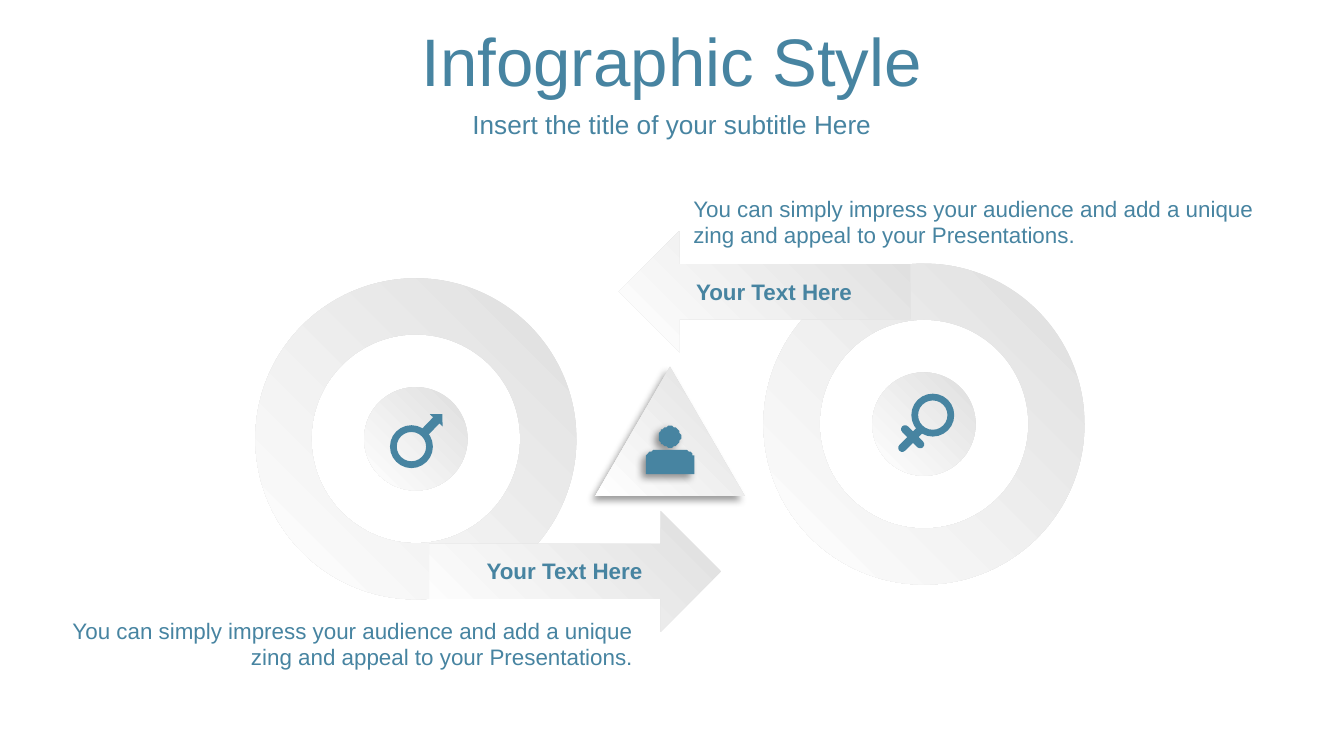
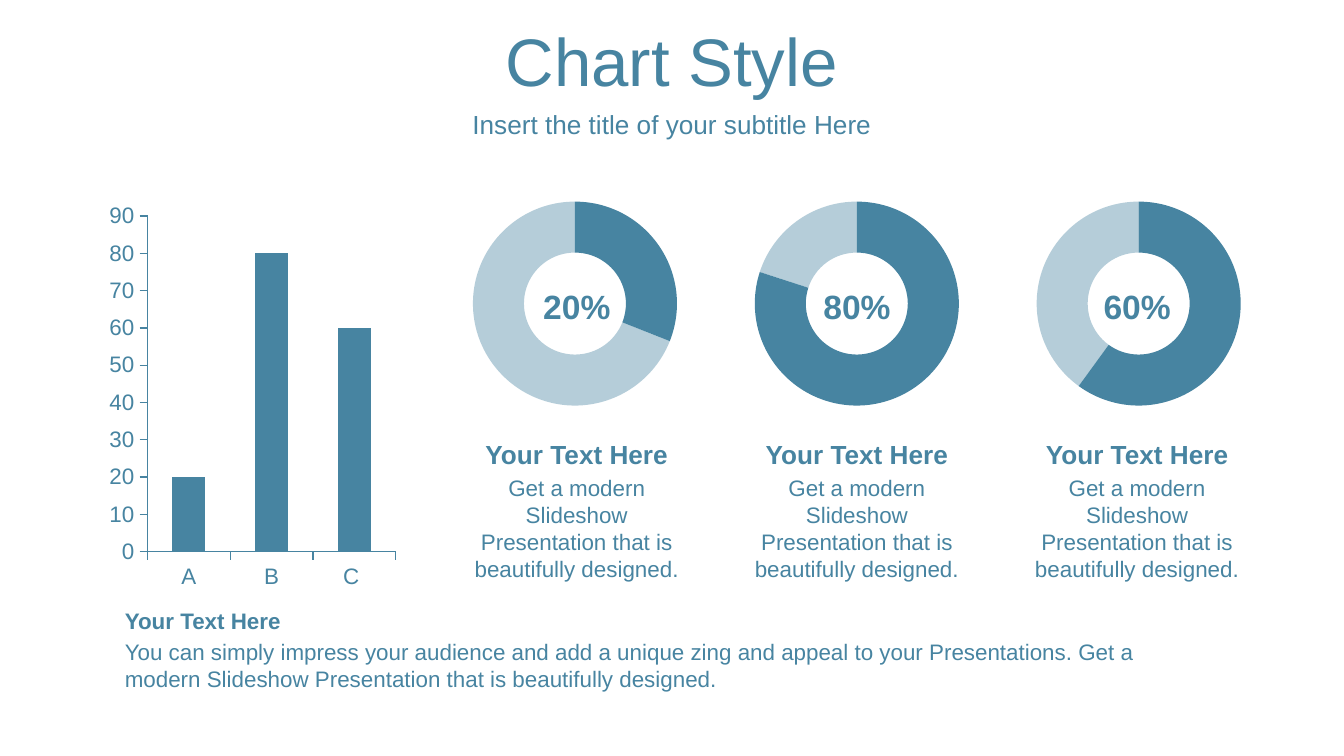
"""Build an infographic slide and a chart slide that share one title style."""
import math

from lxml import etree
from pptx import Presentation
from pptx import util as u
from pptx.chart.data import CategoryChartData
from pptx.dml.color import RGBColor
from pptx.enum import chart as charts, shapes, text
from pptx.oxml import parse_xml
from pptx.oxml.ns import nsdecls, qn

FONT = "Arial"
BLUE = "4784A1"
SILVER = ("DEDEDE", "FFFFFF")
KIND = shapes.MSO_SHAPE
LEFT, CENTER, RIGHT = text.PP_ALIGN.LEFT, text.PP_ALIGN.CENTER, text.PP_ALIGN.RIGHT

TITLES = ("Infographic Style", "Chart Style")
SUBTITLE = "Insert the title of your subtitle Here"
HEADING = "Your Text Here"
IMPRESS = "You can simply impress your audience and add a unique zing and appeal to your Presentations."
MODERN = "Get a modern Slideshow Presentation that is beautifully designed."

MALE = [
    (KIND.DONUT, -2.4, 4.2, 23, 23, 0, 0.158),
    (KIND.UP_ARROW, 8.7, -7.6, 9.4, 15.8, 43.9, None),
]
FEMALE = [
    (KIND.DONUT, 4.7, -4.8, 23, 23, 0, 0.158),
    (KIND.ROUNDED_RECTANGLE, -6.8, 7.9, 4.3, 18, 45, 0.5),
    (KIND.ROUNDED_RECTANGLE, -6.1, 6.8, 4.3, 15.8, 135, 0.5),
]
CYCLES = [(222.8, 235.1, 1, MALE), (495, 227.2, -1, FEMALE)]
CYCLE_TEXTS = [
    (IMPRESS, 364.3, 100.8, 317.5, 36, LEFT, False),
    (IMPRESS, 28.8, 326.9, 317.5, 36, RIGHT, False),
    (HEADING, 167, 295.2, 184.3, 21.6, RIGHT, True),
    (HEADING, 365.8, 145.4, 184.3, 21.6, LEFT, True),
]

BARS = [("A", 20), ("B", 80), ("C ", 60)]
RINGS = [("20%", 31), ("80%", 80), ("60%", 60)]
RING_CENTER, RING_PITCH = 309, 150.1
RING_TEXTS = [
    (149.8, 57, 28.8, 18, True),
    (231.1, 136, 24.5, 14, True),
    (250.6, 136, 65.5, 12, False),
]


def color(value):
    return RGBColor.from_string(value)


def points(*lengths):
    return [u.Pt(length) for length in lengths]


def style_font(font, size, bold=False):
    font.name, font.size, font.bold = FONT, u.Pt(size), bold
    font.color.rgb = color(BLUE)


def add_text(page, words, left, top, width, height, align=LEFT, bold=False, size=12):
    box = page.shapes.add_textbox(*points(left, top, width, height))
    frame = box.text_frame
    frame.word_wrap = True
    frame.auto_size = text.MSO_AUTO_SIZE.SHAPE_TO_FIT_TEXT
    frame.text = words
    para = frame.paragraphs[0]
    para.alignment = align
    style_font(para.runs[0].font, size, bold)
    return frame


def add_titles(page, title):
    for words, top, height, size in ((title, 9.4, 45.4, 36), (SUBTITLE, 55.4, 22.3, 14)):
        frame = add_text(page, words, 0, top, 720, height, CENTER, size=size)
        frame.auto_size = text.MSO_AUTO_SIZE.NONE
        frame.vertical_anchor = text.MSO_ANCHOR.MIDDLE
        frame.paragraphs[0].space_before = u.Pt(0.2 * size)


def paint(shape, silver=False, shadow=False):
    fill = shape.fill
    if silver:
        fill.gradient()
        fill.gradient_angle = 225
        for stop, value in zip(fill.gradient_stops, SILVER):
            stop.color.rgb = color(value)
        shape.element.spPr.find(qn("a:gradFill")).set("rotWithShape", "0")
    else:
        fill.solid()
        fill.fore_color.rgb = color(BLUE)
    shape.line.fill.background()
    shape.shadow.inherit = False
    if shadow:
        shape.element.spPr.find(qn("a:effectLst")).append(parse_xml(
            f'<a:outerShdw {nsdecls("a")} blurRad="{u.Pt(4)}" dist="{u.Pt(3)}" dir="8100000" '
            'algn="tr" rotWithShape="0"><a:srgbClr val="000000"><a:alpha val="40000"/>'
            '</a:srgbClr></a:outerShdw>'))


def add_figure(page, kind, x, y, width, height, turn=0, adjust=None, **look):
    """Add a preset shape centred on x, y."""
    shape = page.shapes.add_shape(kind, *points(x - width / 2, y - height / 2, width, height))
    shape.rotation = turn
    if adjust is not None:
        shape.adjustments[0] = adjust
    paint(shape, **look)


def arc(x, y, radius, start, end, steps=12):
    angles = [math.radians(start + (end - start) * i / steps) for i in range(steps + 1)]
    return [(x + radius * math.cos(a), y + radius * math.sin(a)) for a in angles]


def add_person(page, x=358.9, top=228.3):
    """Draw a round head above a body with rounded shoulders."""
    head = arc(x, top + 5.75, 5.75, 0, 360, 36)
    shoulder, half, bottom = top + 17.9, 13.1, top + 26
    body = [(x - half, bottom), *arc(x - half + 5, shoulder, 5, 180, 270),
            *arc(x + half - 5, shoulder, 5, 270, 360), (x + half, bottom)]
    builder = page.shapes.build_freeform(*body[0], scale=float(u.Pt(1)))
    builder.add_line_segments(body[1:])
    builder.move_to(*head[0])
    builder.add_line_segments(head[1:])
    paint(builder.convert_to_shape(), shadow=True)


def add_chart(page, kind, pairs, left, top, width, height):
    data = CategoryChartData()
    data.categories = [name for name, value in pairs]
    data.add_series("Series 1", [value for name, value in pairs])
    chart = page.shapes.add_chart(kind, *points(left, top, width, height), data).chart
    chart.has_title = chart.has_legend = False
    style_font(chart.font, 18)
    return chart


def add_ring(page, share, left):
    chart = add_chart(page, charts.XL_CHART_TYPE.DOUGHNUT,
                      [("1", share), ("2", 100 - share)], left, 108, 121.7, 109.4)
    plot = chart.plots[0]
    for index in range(2):
        look = plot.series[0].points[index].format
        look.fill.solid()
        look.fill.fore_color.rgb = color(BLUE)
        look.line.fill.background()
    rest = look.fill._xPr.find(".//" + qn("a:srgbClr"))
    etree.SubElement(rest, qn("a:alpha")).set("val", "40000")
    area = chart._chartSpace.find(".//" + qn("c:plotArea"))
    area.find(".//" + qn("c:holeSize")).set("val", "70")
    for layout in area.findall(qn("c:layout")):
        area.remove(layout)
    layout = etree.Element(qn("c:layout"))
    manual = etree.SubElement(layout, qn("c:manualLayout"))
    for tag, value in (("layoutTarget", "inner"), ("xMode", "edge"), ("yMode", "edge"),
                       ("x", "0.04"), ("y", "0"), ("w", "0.9"), ("h", "1")):
        etree.SubElement(manual, qn("c:" + tag)).set("val", value)
    area.insert(0, layout)


def add_bars(page):
    chart = add_chart(page, charts.XL_CHART_TYPE.COLUMN_CLUSTERED, BARS, 55.4, 105.1, 159.8, 214.6)
    plot = chart.plots[0]
    plot.gap_width, plot.vary_by_categories = 150, False
    fill = plot.series[0].format.fill
    fill.solid()
    fill.fore_color.rgb = color(BLUE)
    for axis in (chart.category_axis, chart.value_axis):
        axis.has_major_gridlines = False
        axis.major_tick_mark = charts.XL_TICK_MARK.OUTSIDE
        axis.minor_tick_mark = charts.XL_TICK_MARK.NONE
        axis.format.line.color.rgb = color(BLUE)
        axis.format.line.width = u.Pt(0.75)
        style_font(axis.tick_labels.font, 12)
    scale = chart.value_axis
    scale.minimum_scale, scale.maximum_scale, scale.major_unit = 0, 90, 10


def build_infographic(page):
    add_titles(page, TITLES[0])
    for x, y, side, icon in CYCLES:
        turn = 0 if side > 0 else 180
        add_figure(page, KIND.DONUT, x, y, 172, 172, turn, 0.175, silver=True)
        add_figure(page, KIND.RIGHT_ARROW, x + 85.4 * side, y + 71 * side, 156.2, 64.8,
                   turn, 0.455, silver=True)
        add_figure(page, KIND.OVAL, x, y, 55.4, 55.4, silver=True)
        for kind, across, down, *form in icon:
            add_figure(page, kind, x + across, y + down, *form)
    add_figure(page, KIND.ISOSCELES_TRIANGLE, 358.9, 231.1, 79.9, 69.1, silver=True, shadow=True)
    add_person(page)
    for entry in CYCLE_TEXTS:
        add_text(page, *entry)


def build_charts(page):
    add_titles(page, TITLES[1])
    for index, (percent, share) in enumerate(RINGS):
        add_ring(page, share, 248.4 + 151 * index)
        middle = RING_CENTER + RING_PITCH * index
        for words, (top, width, height, size, bold) in zip((percent, HEADING, MODERN), RING_TEXTS):
            add_text(page, words, middle - width / 2, top, width, height, CENTER, bold, size)
    add_text(page, f"{IMPRESS} {MODERN}", 59.8, 338.4, 566.6, 36)
    add_text(page, HEADING, 59.8, 321.8, 566.6, 21.6, bold=True)
    add_bars(page)


def main():
    deck = Presentation()
    deck.slide_width, deck.slide_height = points(720, 405)
    for build in (build_infographic, build_charts):
        build(deck.slides.add_slide(deck.slide_layouts[6]))
    deck.save("out.pptx")


if __name__ == "__main__":
    main()
